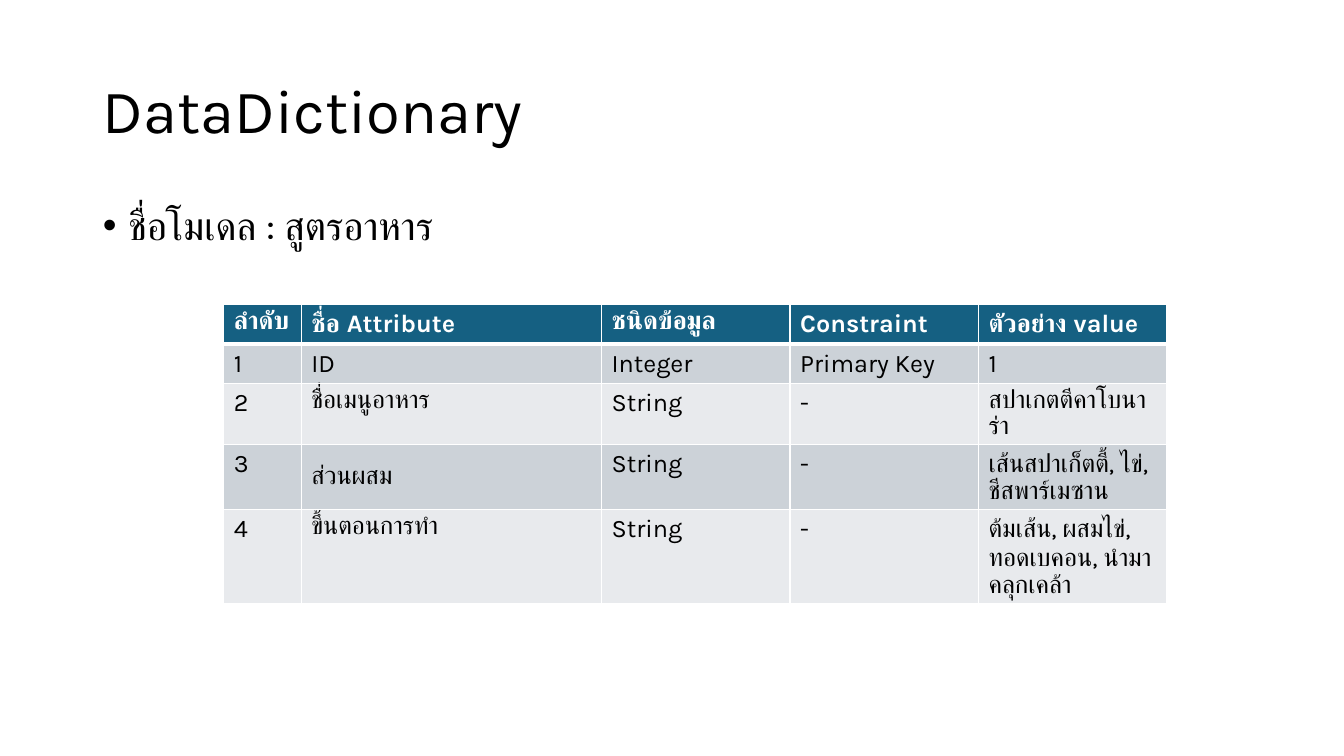
from lxml.etree import SubElement
from pptx import Presentation
from pptx.dml.color import RGBColor
from pptx.enum.text import MSO_VERTICAL_ANCHOR as Anchor, MSO_AUTO_SIZE as AutoSize, PP_ALIGN as Align
from pptx.oxml.ns import qn
from pptx.util import Cm, Pt

HEADER = ["ลำดับ", "ชื่อ Attribute", "ชนิดข้อมูล", "Constraint", "ตัวอย่าง value"]
ATTRIBUTES = [
    ["1", "ID", "Integer", "Primary Key", "1"],
    ["2", "ชื่อเมนูอาหาร", "String", "-", "สปาเกตตีคาโบนาร่า"],
    ["3", "ส่วนผสม", "String", "-", "เส้นสปาเก็ตตี้, ไข่, ชีสพาร์เมซาน"],
    ["4", "ขึ้นตอนการทำ", "String", "-", "ต้มเส้น, ผสมไข่, ทอดเบคอน, นำมาคลุกเคล้า"],
]


def color(value):
    """Turn a hex string into a colour."""
    return RGBColor.from_string(value)


class DictionaryPage:
    """Hold the style and the slide, and draw its elements."""

    face = "Karla"
    ink = "000000"
    paper = "FFFFFF"
    head_fill = "156082"
    band_fills = ("CCD2D8", "E8EAED")

    def __init__(self, deck):
        """Add a title and content slide to the deck."""
        self.page = deck.slides.add_slide(deck.slide_layouts[1])

    def style(self, para, size, ink, bold=False):
        """Set the font of a paragraph."""
        font = para.font
        font.name, font.size, font.bold = self.face, Pt(size), bold
        font.color.rgb = color(ink)

    def fill_placeholder(self, box, text, place, size, anchor):
        """Place a placeholder, write its text and return the paragraph."""
        box.left, box.top, box.width, box.height = map(Cm, place)
        frame = box.text_frame
        frame.text = text
        frame.word_wrap = True
        frame.auto_size = AutoSize.NONE
        frame.vertical_anchor = anchor
        para = frame.paragraphs[0]
        para.alignment = Align.LEFT
        para.line_spacing = 0.9
        self.style(para, size, self.ink)
        return para

    def title(self, text, place):
        """Write the slide title."""
        self.fill_placeholder(self.page.shapes.title, text, place, 44, Anchor.MIDDLE)

    def bullet(self, text, place):
        """Write the bulleted line."""
        para = self.fill_placeholder(self.page.placeholders[1], text, place, 28, Anchor.TOP)
        para.space_before = Pt(10)
        properties = para._p.get_or_add_pPr()
        properties.set("marL", str(Cm(0.64)))
        properties.set("indent", str(Cm(-0.64)))
        SubElement(properties, qn("a:buFont")).set("typeface", "Arial")
        SubElement(properties, qn("a:buChar")).set("char", "•")

    def border(self, cell, side, width):
        """Draw one edge of a cell."""
        line = SubElement(cell._tc.get_or_add_tcPr(), qn(f"a:ln{side}"), w=str(Pt(width)))
        fill = SubElement(line, qn("a:solidFill"))
        SubElement(fill, qn("a:srgbClr")).set("val", self.paper)

    def cell(self, cell, text, row):
        """Fill, frame and write one table cell."""
        header = row == 0
        thick = {(0, "B"), (1, "T")}
        for side in "LRTB":
            self.border(cell, side, 3 if (row, side) in thick else 1)
        cell.fill.solid()
        cell.fill.fore_color.rgb = color(self.head_fill if header else self.band_fills[(row - 1) % 2])
        cell.text = text
        self.style(cell.text_frame.paragraphs[0], 18, self.paper if header else self.ink, header)

    def table(self, rows, place, widths, heights):
        """Draw the table and return it."""
        table = self.page.shapes.add_table(len(rows), len(widths), *map(Cm, place)).table
        for column, width in zip(table.columns, widths):
            column.width = Cm(width)
        for index, (texts, height) in enumerate(zip(rows, heights)):
            table.rows[index].height = Cm(height)
            for cell, text in zip(table.rows[index].cells, texts):
                self.cell(cell, text, index)
        return table


def main():
    """Build and save the slide."""
    deck = Presentation()
    deck.slide_width, deck.slide_height = Cm(33.87), Cm(19.05)
    page = DictionaryPage(deck)
    page.title("DataDictionary", (2.34, 1.02, 29.21, 3.68))
    page.bullet("ชื่อโมเดล : สูตรอาหาร", (2.34, 5.08, 29.21, 12.09))
    widths = [1.95, 7.57] + [4.75] * 3
    heights = [0.91] * 4 + [1.6]
    table = page.table([HEADER] + ATTRIBUTES, (5.64, 7.67, 23.77, 6.6), widths, heights)
    table.cell(3, 1).vertical_anchor = Anchor.MIDDLE
    deck.save("out.pptx")


if __name__ == "__main__":
    main()
